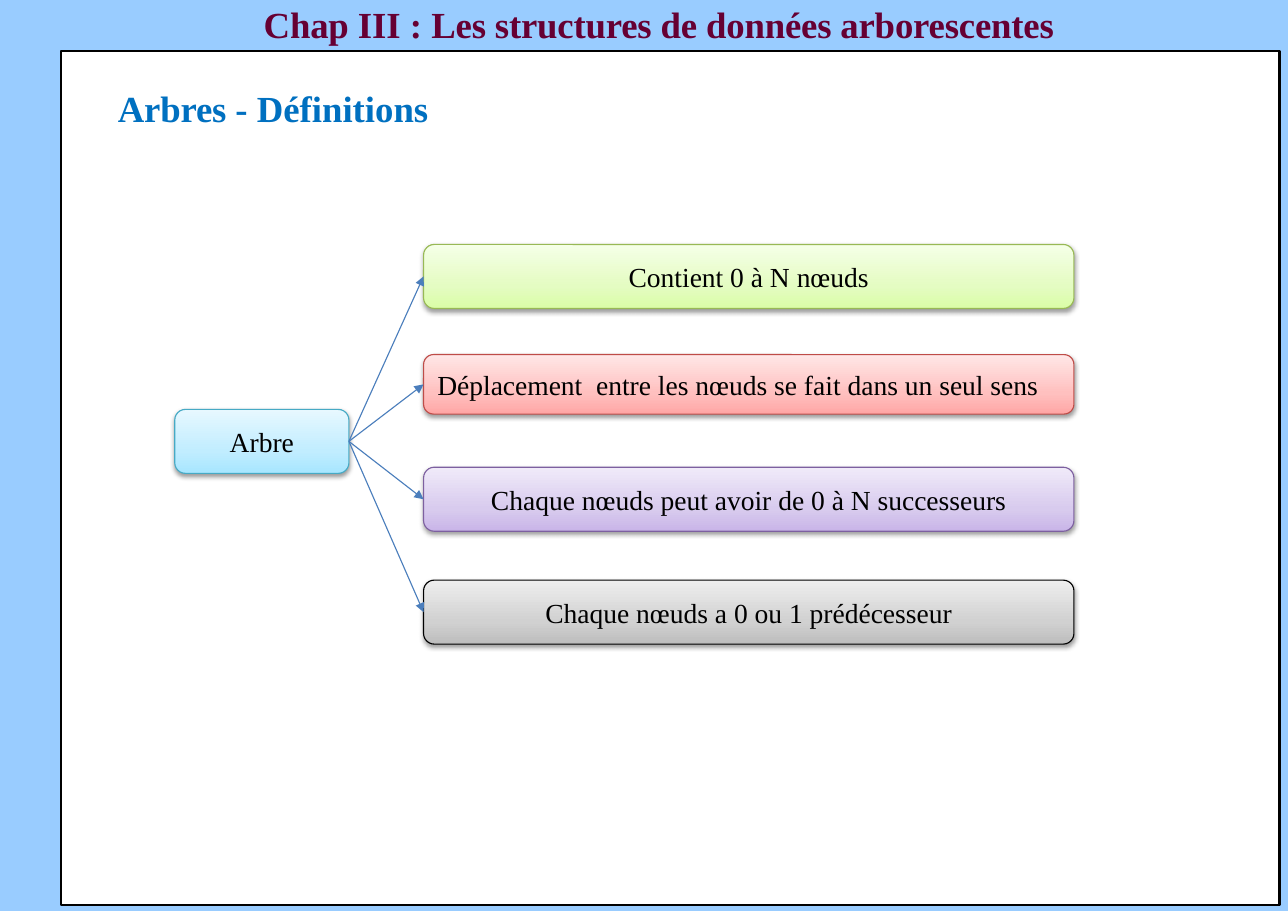
from dataclasses import dataclass

from lxml.etree import SubElement
from pptx import Presentation
from pptx.dml.color import RGBColor
from pptx.enum.shapes import MSO_CONNECTOR as CONN, MSO_SHAPE as SHAPE
from pptx.enum.text import MSO_ANCHOR as ANCHOR, PP_ALIGN as ALIGN
from pptx.oxml.ns import qn
from pptx.shapes.autoshape import Shape
from pptx.slide import Slide
from pptx.text.text import _Paragraph as Paragraph
from pptx.util import Pt

FONT = "Times New Roman"
ARROW = "4B7EBC"
BRANCH_LEFT, BRANCH_WIDTH = 276.8, 425


@dataclass
class Node:
    text: str
    left: float
    top: float
    width: float
    height: float
    stops: tuple[str, str, str]
    line: str
    align: ALIGN = ALIGN.CENTER


@dataclass
class Heading:
    runs: list[tuple[str, int]]
    left: float
    top: float
    width: float
    color: str
    align: ALIGN


ROOT = Node("Arbre", 114.2, 267.6, 113.8, 41.8, ("A7E6FF", "C1EDFF", "E7F8FF"), "46AAC5")
BRANCHES = [
    Node("Contient 0 à N nœuds", BRANCH_LEFT, 159.8, BRANCH_WIDTH, 41.8,
         ("DAFDA7", "E4FCC2", "F5FFE7"), "98B955"),
    Node("Déplacement  entre les nœuds se fait dans un seul sens", BRANCH_LEFT, 231.8,
         BRANCH_WIDTH, 38.9, ("FFA6A5", "FFC0BF", "FFE7E7"), "BF4C48", ALIGN.LEFT),
    Node("Chaque nœuds peut avoir de 0 à N successeurs", BRANCH_LEFT, 305.4, BRANCH_WIDTH, 41.8,
         ("C9B5E8", "D8CBEE", "F0EAF9"), "7D60A0"),
    Node("Chaque nœuds a 0 ou 1 prédécesseur", BRANCH_LEFT, 379.2, BRANCH_WIDTH, 41.8,
         ("BDBDBD", "D1D1D1", "EEEEEE"), "000000"),
]
HEADINGS = [
    Heading([("Arbres ", -10), ("- Définitions", 0)], 38, 55.4, 280, "0070C0", ALIGN.CENTER),
    Heading([("Chap ", -10), ("III : ", 0), ("Les structures de données arborescentes", -10)],
            171.4, 0, 553, "660033", ALIGN.LEFT),
]


def rgb(value: str) -> RGBColor:
    return RGBColor.from_string(value)


def add_run(p: Paragraph, text: str, size: float, color: str, bold: bool = False,
            spacing: int = 0) -> None:
    r = p.add_run()
    r.text = text
    r.font.name, r.font.size, r.font.bold = FONT, Pt(size), bold
    r.font.color.rgb = rgb(color)
    if spacing:
        r._r.get_or_add_rPr().set("spc", str(spacing))


def add_heading(s: Slide, h: Heading) -> None:
    tf = s.shapes.add_textbox(Pt(h.left), Pt(h.top), Pt(h.width), Pt(30.2)).text_frame
    tf.word_wrap = True
    tf.margin_left, tf.margin_top = Pt(0.9), Pt(0.9)
    tf.margin_right = tf.margin_bottom = Pt(0)
    p = tf.paragraphs[0]
    p.alignment, p.space_before = h.align, Pt(1)
    for text, spacing in h.runs:
        add_run(p, text, 24, h.color, True, spacing)


def set_gradient(sp: Shape, stops: tuple[str, str, str]) -> None:
    sp.fill.gradient()
    sp.fill.gradient_angle = 90
    stop_list = sp._element.spPr.find(qn("a:gradFill")).find(qn("a:gsLst"))
    for stop in list(stop_list):
        stop_list.remove(stop)
    for position, color in zip((0, 35, 100), stops):
        stop = SubElement(stop_list, qn("a:gs"), pos=str(position * 1000))
        SubElement(stop, qn("a:srgbClr"), val=color)


def set_shadow(sp: Shape) -> None:
    sp.shadow.inherit = False
    effects = sp._element.spPr.find(qn("a:effectLst"))
    shadow = SubElement(effects, qn("a:outerShdw"), blurRad=str(Pt(3.1)), dist=str(Pt(1.6)),
                        dir="5400000", rotWithShape="0")
    color = SubElement(shadow, qn("a:srgbClr"), val="000000")
    SubElement(color, qn("a:alpha"), val="38000")


def add_node(s: Slide, n: Node) -> Shape:
    sp = s.shapes.add_shape(SHAPE.ROUNDED_RECTANGLE, Pt(n.left), Pt(n.top),
                            Pt(n.width), Pt(n.height))
    set_gradient(sp, n.stops)
    sp.line.color.rgb, sp.line.width = rgb(n.line), Pt(0.75)
    set_shadow(sp)
    tf = sp.text_frame
    tf.word_wrap, tf.vertical_anchor = True, ANCHOR.MIDDLE
    p = tf.paragraphs[0]
    p.alignment = n.align
    add_run(p, n.text, 18, "000000")
    return sp


def add_arrow(s: Slide, start: Shape, end: Shape) -> None:
    arrow = s.shapes.add_connector(CONN.STRAIGHT, Pt(0), Pt(0), Pt(0), Pt(0))
    arrow.begin_connect(start, 3)
    arrow.end_connect(end, 1)
    arrow.line.color.rgb, arrow.line.width = rgb(ARROW), Pt(0.75)
    SubElement(arrow.line._get_or_add_ln(), qn("a:tailEnd"), type="triangle")
    SubElement(arrow._element.spPr, qn("a:effectLst"))


def add_frame(s: Slide) -> None:
    sp = s.shapes.add_shape(SHAPE.RECTANGLE, Pt(39.8), Pt(33.2), Pt(796.4), Pt(558.6))
    sp.shadow.inherit = False
    sp.fill.solid()
    sp.fill.fore_color.rgb = rgb("FFFFFF")
    sp.line.color.rgb, sp.line.width = rgb("000000"), Pt(1.44)


def main() -> None:
    """Build the slide on the definition of trees."""
    prs = Presentation()
    prs.slide_width, prs.slide_height = Pt(841.68), Pt(595.44)
    s = prs.slides.add_slide(prs.slide_layouts[6])
    s.background.fill.solid()
    s.background.fill.fore_color.rgb = rgb("99CCFF")
    add_frame(s)
    for heading in HEADINGS:
        add_heading(s, heading)
    root = add_node(s, ROOT)
    branches = [add_node(s, branch) for branch in BRANCHES]
    for branch in reversed(branches):
        add_arrow(s, root, branch)
    prs.save("out.pptx")


if __name__ == "__main__":
    main()
